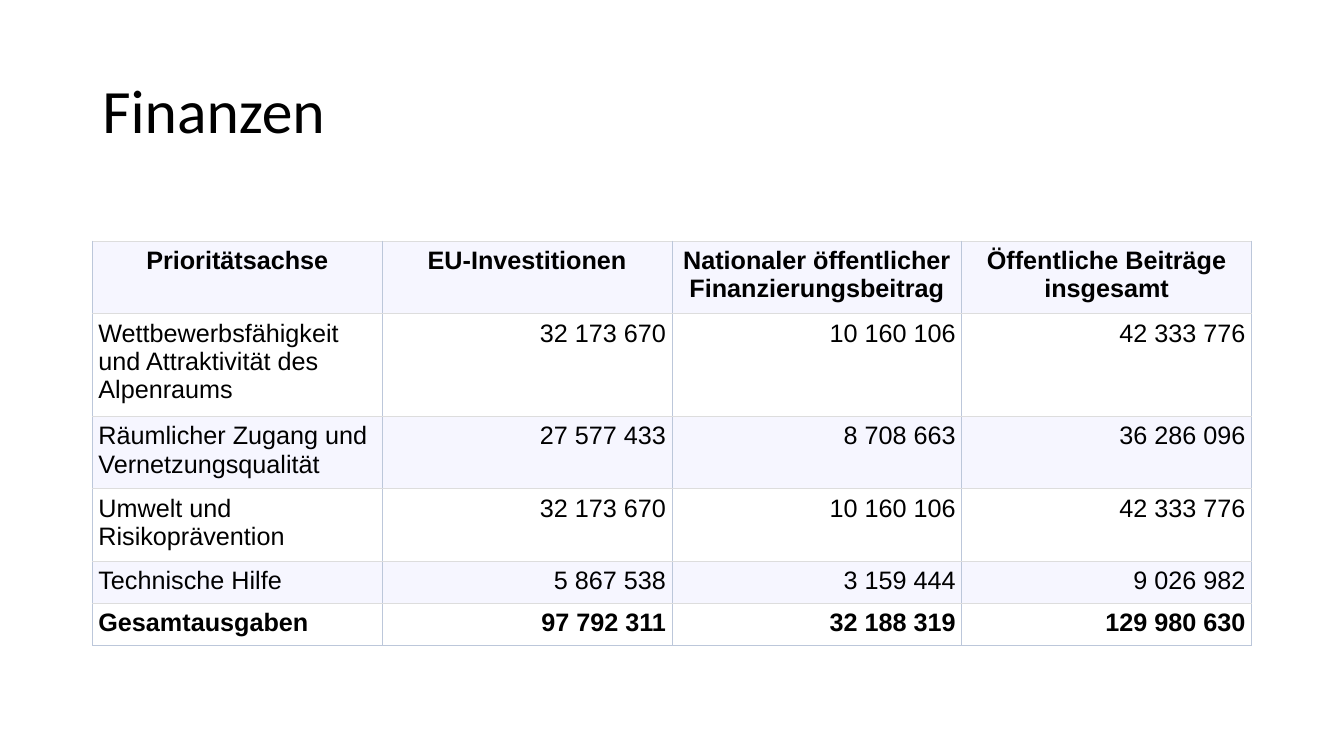
from dataclasses import dataclass

import lxml.etree
import pptx
import pptx.dml.color
import pptx.enum.text
import pptx.oxml.ns
import pptx.util

Cm = pptx.util.Cm
Pt = pptx.util.Pt
ALIGN = pptx.enum.text.PP_ALIGN

COLORS = {
    "text": "000000",
    "band": "F6F6FF",
    "plain": "FFFFFF",
    "side": "BCC7DA",
    "rule": "DDDDDD",
}
LEFT, WIDTH = 2.33, 29.21
TABLE_TOP = 6.07
CELL_MARGIN = 0.15


@dataclass
class FinanceRow:
    texts: tuple[str, str, str, str]
    height: float
    bold: bool = False


HEADER = FinanceRow(
    ("Prioritätsachse", "EU-Investitionen",
     "Nationaler öffentlicher Finanzierungsbeitrag",
     "Öffentliche Beiträge insgesamt"), 1.71, bold=True)
AXES = [
    FinanceRow(("Wettbewerbsfähigkeit und Attraktivität des Alpenraums",
                "32 173 670", "10 160 106", "42 333 776"), 2.41),
    FinanceRow(("Räumlicher Zugang und Vernetzungsqualität",
                "27 577 433", "8 708 663", "36 286 096"), 1.71),
    FinanceRow(("Umwelt und Risikoprävention",
                "32 173 670", "10 160 106", "42 333 776"), 1.71),
    FinanceRow(("Technische Hilfe", "5 867 538", "3 159 444", "9 026 982"), 0.99),
]
TOTAL = FinanceRow(("Gesamtausgaben", "97 792 311", "32 188 319", "129 980 630"),
                   0.99, bold=True)
ROWS = [HEADER, *AXES, TOTAL]


def rgb(name: str) -> pptx.dml.color.RGBColor:
    return pptx.dml.color.RGBColor.from_string(COLORS[name])


def write(tf, text: str, *, font: str = "Arial", size: float = 18,
          bold: bool = False, align=ALIGN.LEFT, spacing: float = 1.0) -> None:
    p = tf.paragraphs[0]
    p.alignment = align
    p.line_spacing = spacing
    r = p.add_run()
    r.text = text
    r.font.name = font
    r.font.size = Pt(size)
    r.font.bold = bold
    r.font.color.rgb = rgb("text")


def set_borders(cell, bottom: str) -> None:
    """Add the cell's edge lines; call before setting its fill."""
    qn = pptx.oxml.ns.qn
    tc_pr = cell._tc.get_or_add_tcPr()
    edges = {"lnL": "side", "lnR": "side", "lnT": "rule", "lnB": bottom}
    for tag, color in edges.items():
        ln = lxml.etree.SubElement(tc_pr, qn(f"a:{tag}"), w=str(Pt(0.5)))
        fill = lxml.etree.SubElement(ln, qn("a:solidFill"))
        lxml.etree.SubElement(fill, qn("a:srgbClr"), val=COLORS[color])


def add_title(s, text: str) -> None:
    sp = s.shapes.add_textbox(Cm(LEFT), Cm(1.01), Cm(WIDTH), Cm(3.68))
    tf = sp.text_frame
    tf.word_wrap = True
    tf.vertical_anchor = pptx.enum.text.MSO_ANCHOR.MIDDLE
    write(tf, text, font="Calibri", size=44, spacing=0.9)


def add_finance_table(s, rows: list[FinanceRow]) -> None:
    n_cols = len(HEADER.texts)
    height = sum(row.height for row in rows)
    table = s.shapes.add_table(len(rows), n_cols, Cm(LEFT), Cm(TABLE_TOP),
                               Cm(WIDTH), Cm(height)).table
    table.first_row = table.horz_banding = False
    for i, row in enumerate(rows):
        table.rows[i].height = Cm(row.height)
        for j, text in enumerate(row.texts):
            cell = table.cell(i, j)
            cell.margin_left = cell.margin_right = Cm(CELL_MARGIN)
            cell.margin_top = cell.margin_bottom = Cm(CELL_MARGIN)
            set_borders(cell, "side" if row is TOTAL else "rule")
            cell.fill.solid()
            cell.fill.fore_color.rgb = rgb("plain" if i % 2 else "band")
            if row is HEADER:
                align = ALIGN.CENTER
            else:
                align = ALIGN.RIGHT if j else ALIGN.LEFT
            write(cell.text_frame, text, bold=row.bold, align=align)


def main() -> None:
    prs = pptx.Presentation()
    prs.slide_width, prs.slide_height = Cm(33.87), Cm(19.05)
    s = prs.slides.add_slide(prs.slide_layouts[6])
    add_title(s, "Finanzen")
    add_finance_table(s, ROWS)
    prs.save("out.pptx")


if __name__ == "__main__":
    main()
